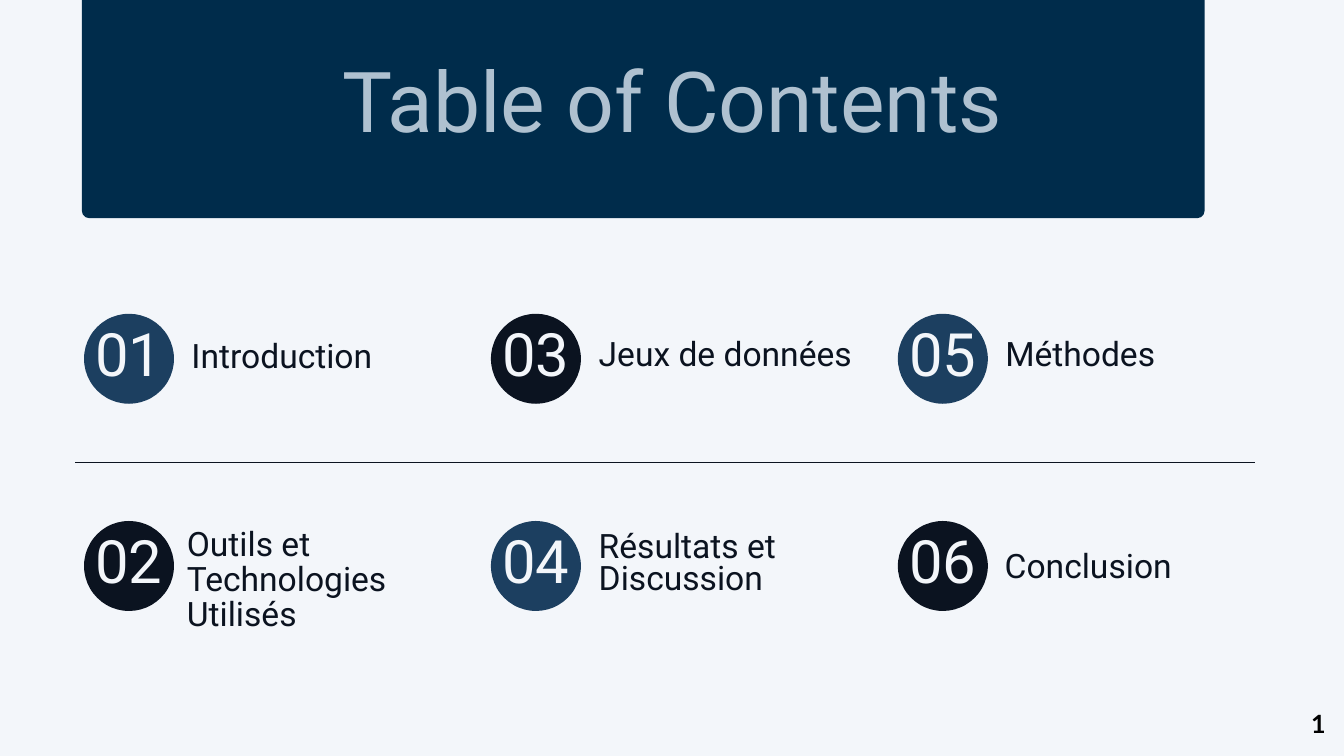
from pptx import Presentation
from pptx.dml.color import RGBColor
from pptx.enum.shapes import MSO_CONNECTOR, MSO_SHAPE
from pptx.enum.text import PP_ALIGN
from pptx.oxml.ns import qn
from pptx.util import Pt
from lxml.etree import SubElement

COLORS = {
    "background": "F3F6FA",
    "banner": "002C4B",
    "title": "AFC1D0",
    "blue": "1C3F60",
    "dark": "0B1320",
    "page": "000000",
}

# Read down each column: label, offset from its circle (x, y), width, line spacing
SECTIONS = [
    ("Introduction", 115.2, 15.4, 282, 50.4),
    ("Outils et Technologies Utilisés", 110.2, 8.6, 320.4, 37.1),
    ("Jeux de données", 115.5, 29, 282, 34.2),
    ("Résultats et Discussion", 115.5, 13.7, 282, 34.2),
    ("Méthodes", 115.2, 29, 282, 34.2),
    ("Conclusion", 114.5, 18.7, 282, 50.4),
]
ROWS = 2
GRID_LEFT, GRID_TOP = 90, 336.2
COLUMN_STEP, ROW_STEP = 436, 222
CIRCLE = 96.4


def color(name):
    return RGBColor.from_string(COLORS[name])


def add_filled(slide, kind, left, top, width, height, fill):
    shape = slide.shapes.add_shape(kind, Pt(left), Pt(top), Pt(width), Pt(height))
    shape.shadow.inherit = False
    shape.fill.solid()
    shape.fill.fore_color.rgb = color(fill)
    shape.line.fill.background()
    return shape


def add_text(slide, text, left, top, width, height, size, spacing, fill,
             align=PP_ALIGN.LEFT, font="Roboto", bold=False):
    box = slide.shapes.add_textbox(Pt(left), Pt(top), Pt(width), Pt(height))
    frame = box.text_frame
    frame.word_wrap = True
    frame.margin_left = frame.margin_right = frame.margin_top = frame.margin_bottom = 0
    paragraph = frame.paragraphs[0]
    paragraph.text = text
    paragraph.alignment = align
    paragraph.line_spacing = Pt(spacing)
    paragraph.font.name = font
    paragraph.font.size = Pt(size)
    paragraph.font.bold = bold
    paragraph.font.color.rgb = color(fill)


def add_section(slide, index, label, offset_x, offset_y, width, spacing):
    column, row = divmod(index, ROWS)
    left = GRID_LEFT + column * COLUMN_STEP
    top = GRID_TOP + row * ROW_STEP
    fill = "dark" if (column + row) % 2 else "blue"
    add_filled(slide, MSO_SHAPE.OVAL, left, top, CIRCLE, CIRCLE, fill)
    add_text(slide, f"{index + 1:02}", left - 1.7, top - 9.8, 99.4, 95.8,
             64, 89.6, "background", PP_ALIGN.CENTER)
    add_text(slide, label, left + offset_x, top + offset_y, width, 54,
             36, spacing, "dark")


def main():
    presentation = Presentation()
    presentation.slide_width, presentation.slide_height = Pt(1440), Pt(810)
    slide = presentation.slides.add_slide(presentation.slide_layouts[6])
    slide.background.fill.solid()
    slide.background.fill.fore_color.rgb = color("background")

    banner = add_filled(slide, MSO_SHAPE.ROUNDED_RECTANGLE,
                        87.8, -143.3, 1202.8, 377, "banner")
    banner.adjustments[0] = 0.02
    add_text(slide, "Table of Contents", 301, 33.8, 838.8, 136,
             90, 126, "title", PP_ALIGN.CENTER)

    divider = slide.shapes.add_connector(
        MSO_CONNECTOR.STRAIGHT, Pt(80.6), Pt(495.4), Pt(1345), Pt(495.4))
    divider.line.color.rgb = color("dark")
    divider.line.width = Pt(1.5)
    SubElement(divider._element.spPr, qn("a:effectLst"))

    for index, section in enumerate(SECTIONS):
        add_section(slide, index, *section)

    add_text(slide, "1", 1404.7, 753.8, 14.4, 36.7, 26.9, 37.6, "page",
             PP_ALIGN.CENTER, "Lato", True)
    presentation.save("out.pptx")


if __name__ == "__main__":
    main()
